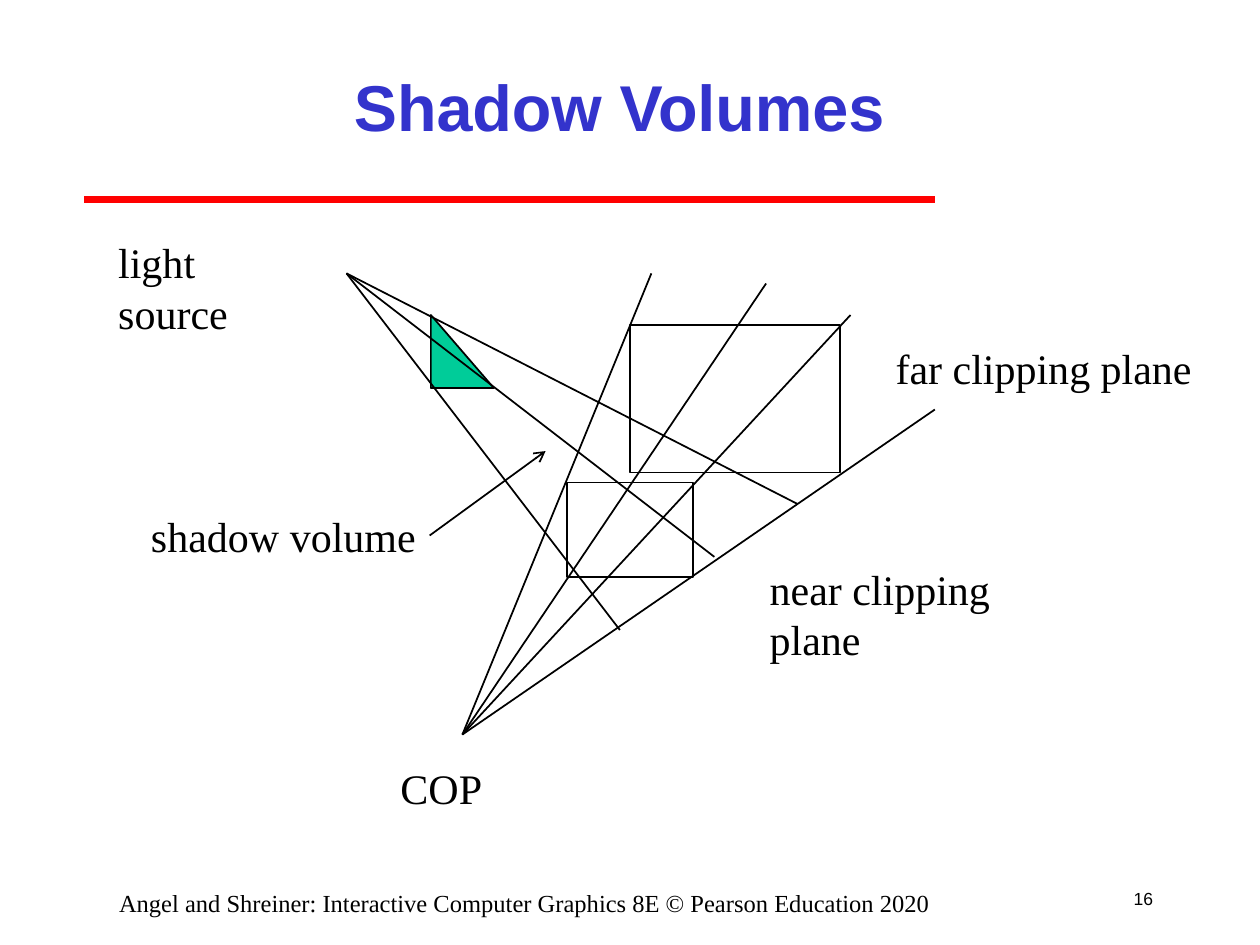
from lxml import etree
from pptx import Presentation
from pptx.dml.color import RGBColor
from pptx.enum import shapes, text
from pptx.oxml import ns
from pptx.util import Inches, Pt

COLORS = {"title": "3333CC", "rule": "FF0000", "ink": "000000", "object": "00CC99"}
FORMATS = {
    "title": {"name": "Arial", "size": Pt(37), "bold": True},
    "label": {"name": "Times New Roman", "size": Pt(24)},
    "footer": {"name": "Times New Roman", "size": Pt(14)},
    "number": {"name": "Arial", "size": Pt(10)},
}


def color(name):
    return RGBColor.from_string(COLORS[name])


def write(shape, words, style, ink="ink", align=text.PP_ALIGN.LEFT,
          anchor=text.MSO_ANCHOR.TOP, wrap=True, fit=text.MSO_AUTO_SIZE.NONE):
    frame = shape.text_frame
    frame.auto_size = fit
    frame.word_wrap = wrap
    frame.vertical_anchor = anchor
    paragraph = frame.paragraphs[0]
    paragraph.alignment = align
    run = paragraph.add_run()
    run.text = words
    for name, value in FORMATS[style].items():
        setattr(run.font, name, value)
    run.font.color.rgb = color(ink)


def add_text(slide, box, words, style, **options):
    shape = slide.shapes.add_textbox(*map(Inches, box))
    write(shape, words, style, **options)


def add_line(slide, start, end, ink="ink", width=1, arrow=False):
    line = slide.shapes.add_connector(
        shapes.MSO_CONNECTOR.STRAIGHT, *map(Inches, (*start, *end)))
    line.line.color.rgb = color(ink)
    line.line.width = Pt(width)
    if arrow:
        etree.SubElement(line.line._get_or_add_ln(), ns.qn("a:tailEnd"), type="arrow")
    etree.SubElement(line._element.spPr, ns.qn("a:effectLst"))


def add_outline(slide, kind, box, fill=None):
    shape = slide.shapes.add_shape(kind, *map(Inches, box))
    shape.shadow.inherit = False
    if fill:
        shape.fill.solid()
        shape.fill.fore_color.rgb = color(fill)
    else:
        shape.fill.background()
    shape.line.color.rgb = color("ink")
    shape.line.width = Pt(1)


def add_header(slide, left, top):
    # Red rule and title
    add_line(slide, (left, top + 1.33), (left + 6.75, top + 1.33), "rule", 4)
    title = slide.shapes.title
    box = {"left": left + 0.83, "top": top, "width": 6.83, "height": 1.17}
    for name, value in box.items():
        setattr(title, name, Inches(value))
    write(title, "Shadow Volumes", "title", "title",
          text.PP_ALIGN.CENTER, text.MSO_ANCHOR.MIDDLE)


def add_diagram(slide, left, top):
    def at(x, y, *size):
        return (left + x, top + y, *size)

    # View frustum: edges from the centre of projection, near and far planes
    for end in ((6.67, 1.5), (5.33, 0.5), (6, 0.75), (4.42, 0.42)):
        add_line(slide, at(2.92, 4.08), at(*end))
    for plane in ((3.75, 2.08, 1, 0.75), (4.25, 0.83, 1.67, 1.17)):
        add_outline(slide, shapes.MSO_SHAPE.RECTANGLE, at(*plane))

    # Object and the light rays that bound its shadow
    add_outline(slide, shapes.MSO_SHAPE.RIGHT_TRIANGLE,
                at(2.67, 0.75, 0.5, 0.58), "object")
    for end in ((5.58, 2.25), (4.17, 3.25), (4.92, 2.67)):
        add_line(slide, at(2, 0.42), at(*end))

    # Labels: words, left, top, width
    labels = (
        ("light source", 0.09, 0.08, 1.76),
        ("COP", 2.33, 4.25, 0.85),
        ("near clipping plane", 5.26, 2.67, 2.75),
        ("far clipping plane", 6.26, 0.92, 2.55),
        ("shadow volume", 0.35, 2.25, 2.3),
    )
    for words, x, y, width in labels:
        add_text(slide, at(x, y, width, 0.5), words, "label", wrap=False,
                 fit=text.MSO_AUTO_SIZE.SHAPE_TO_FIT_TEXT)
    add_line(slide, at(2.66, 2.5), at(3.58, 1.83), arrow=True)


def add_footer(slide, left, top):
    # Page number and copyright line
    add_text(slide, (left + 8.33, top, 0.42, 0.42), "16", "number", wrap=False,
             align=text.PP_ALIGN.RIGHT, anchor=text.MSO_ANCHOR.MIDDLE)
    add_text(slide, (left, top + 0.08, 7.33, 0.25),
             "Angel and Shreiner: Interactive Computer Graphics 8E © Pearson Education 2020",
             "footer", align=text.PP_ALIGN.CENTER)


def main():
    presentation = Presentation()
    presentation.slide_width = Inches(10)
    presentation.slide_height = Inches(7.5)
    slide = presentation.slides.add_slide(presentation.slide_layouts[5])
    add_header(slide, 0.67, 0.25)
    add_diagram(slide, 0.75, 1.75)
    add_footer(slide, 0.5, 6.92)
    presentation.save("out.pptx")


if __name__ == "__main__":
    main()
